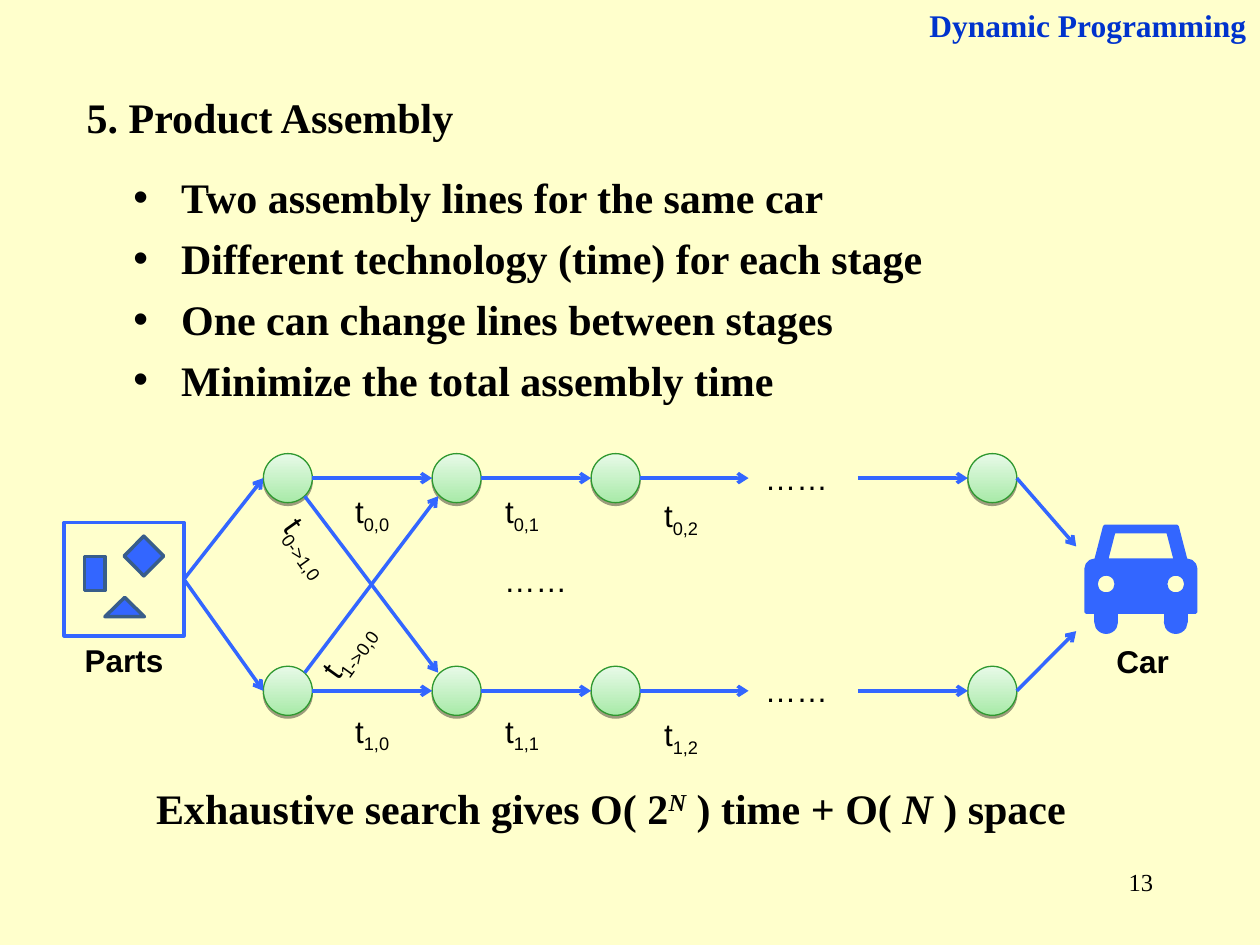
import collections

import lxml.etree
import pptx
import pptx.dml.color
import pptx.enum.shapes
import pptx.enum.text
import pptx.oxml
import pptx.oxml.ns
import pptx.util

COLORS = {"paper": "FFFFCC", "blue": "3366FF", "header": "0033CC", "ink": "000000",
          "edge": "385D8A", "node_edge": "2F982F", "node_low": "A8EAA8", "node_high": "E8FAE8"}
SERIF, SANS = "Times New Roman", "Arial"
Box = collections.namedtuple("Box", "left top width height")
Shape = pptx.enum.shapes.MSO_SHAPE
Align = pptx.enum.text.PP_ALIGN
PAGE = Box(0, 0, 10, 7.5)


def rgb(name):
    """Return the named colour."""
    return pptx.dml.color.RGBColor.from_string(COLORS[name])


def within(box, x, y, width, height):
    """Return the part of a box given by shares of its size."""
    return Box(box.left + x * box.width, box.top + y * box.height,
               width * box.width, height * box.height)


def point(box, x, y):
    """Return the point at the given shares of a box."""
    return box.left + x * box.width, box.top + y * box.height


def inches(values):
    """Convert numbers to lengths."""
    return [pptx.util.Inches(value) for value in values]


def add_xml(parent, tag, **attributes):
    """Append a DrawingML element and return it."""
    return lxml.etree.SubElement(parent, pptx.oxml.ns.qn(tag), attributes)


def add_text(slide, box, paragraphs, size, font=SANS, color="ink", bold=False,
             align=Align.CENTER, wrap=False, rotation=0):
    """Add paragraphs of (text, baseline, italic) runs and return the text frame."""
    label = slide.shapes.add_textbox(*inches(box))
    label.rotation = rotation
    frame = label.text_frame
    frame.word_wrap = wrap
    for index, pieces in enumerate(paragraphs):
        paragraph = frame.add_paragraph() if index else frame.paragraphs[0]
        paragraph.alignment = align
        for text, baseline, italic in pieces:
            run = paragraph.add_run()
            run.text = text
            run.font.size = pptx.util.Pt(size)
            run.font.name = font
            run.font.bold = bold
            run.font.italic = italic
            run.font.color.rgb = rgb(color)
            if baseline:
                run.font._element.set("baseline", str(baseline * 1000))
    return frame


def plain(text):
    """Return one paragraph holding one plain run."""
    return [(text, 0, False)]


def add_figure(slide, kind, box, fill="blue", line="blue", width=2, adjust=()):
    """Add a filled preset shape without a shadow."""
    figure = slide.shapes.add_shape(kind, *inches(box))
    figure.shadow.inherit = False
    figure.fill.solid()
    figure.fill.fore_color.rgb = rgb(fill)
    figure.line.color.rgb = rgb(line)
    figure.line.width = pptx.util.Pt(width)
    for index, value in enumerate(adjust):
        figure.adjustments[index] = value
    return figure


def add_arrow(slide, start, end):
    """Add a straight blue arrow between two points."""
    arrow = slide.shapes.add_connector(pptx.enum.shapes.MSO_CONNECTOR.STRAIGHT,
                                       *inches(start + end))
    arrow.line.color.rgb = rgb("blue")
    arrow.line.width = pptx.util.Pt(2)
    add_xml(arrow.line._get_or_add_ln(), "a:tailEnd", type="arrow")
    add_xml(arrow._element.spPr, "a:effectLst")


def add_node(slide, box):
    """Add one assembly station with its gradient and drop shadow."""
    node = add_figure(slide, Shape.OVAL, box, line="node_edge", width=0.75)
    node.fill.gradient()
    node.fill.gradient_angle = 90
    for stop, name in zip(node.fill.gradient_stops, ("node_low", "node_high")):
        stop.color.rgb = rgb(name)
    effects = node._element.spPr.find(pptx.oxml.ns.qn("a:effectLst"))
    shadow = add_xml(effects, "a:outerShdw", blurRad="0", dist="20320",
                     dir="5400000", rotWithShape="0")
    add_xml(add_xml(shadow, "a:srgbClr", val=COLORS["ink"]), "a:alpha", val="38000")


def add_headings(slide, box):
    """Place the header, title, conclusion and page number."""
    add_text(slide, within(box, 0.65, 0, 0.349, 0.05), [plain("Dynamic Programming")], 18,
             SERIF, "header", True, Align.RIGHT, True)
    add_text(slide, within(box, 0.059, 0.09, 0.34, 0.07), [plain("5. Product Assembly")], 24,
             SERIF, bold=True, align=Align.LEFT, wrap=True)
    conclusion = [("Exhaustive search gives O( 2", 0, False), ("N", 30, True),
                  (" ) time + O( ", 0, False), ("N", 0, True), (" ) space", 0, False)]
    add_text(slide, within(box, 0.114, 0.821, 0.764, 0.067), [conclusion], 24,
             SERIF, bold=True, align=Align.LEFT, wrap=True)
    add_text(slide, within(box, 0.717, 0.911, 0.208, 0.067), [plain("13")], 14,
             SERIF, align=Align.RIGHT, wrap=True)


def add_bullets(slide, box):
    """Place the bulleted facts."""
    facts = ("Two assembly lines for the same car", "Different technology (time) for each stage",
             "One can change lines between stages", "Minimize the total assembly time")
    frame = add_text(slide, box, [plain(fact) for fact in facts], 24, SERIF,
                     bold=True, align=Align.LEFT, wrap=True)
    indent = pptx.util.Inches(0.38)
    for paragraph in frame.paragraphs:
        paragraph.space_before = pptx.util.Pt(6)
        properties = paragraph._p.get_or_add_pPr()
        properties.set("marL", str(indent))
        properties.set("indent", str(-indent))
        add_xml(properties, "a:buFont", typeface=SANS)
        add_xml(properties, "a:buChar", char="•")


def add_parts(slide, box):
    """Draw the crate of parts and its caption."""
    add_figure(slide, Shape.RECTANGLE, box, fill="paper")
    for kind, *share in ((Shape.RECTANGLE, 0.17, 0.3, 0.17, 0.3),
                         (Shape.ISOSCELES_TRIANGLE, 0.34, 0.66, 0.33, 0.17),
                         (Shape.DIAMOND, 0.5, 0.12, 0.33, 0.35)):
        add_figure(slide, kind, within(box, *share), line="edge")
    add_text(slide, within(box, 0, 0.99, 1, 0.44), [plain("Parts")], 18, bold=True)


def add_car(slide, box):
    """Draw the finished car and its caption."""
    sides = (0.09, 0.725)
    for side in sides:
        add_figure(slide, Shape.RECTANGLE, within(box, side, 0.62, 0.185, 0.28))
        add_figure(slide, Shape.OVAL, within(box, side, 0.81, 0.185, 0.19))
    add_figure(slide, Shape.TRAPEZOID, within(box, 0.09, 0, 0.82, 0.32), adjust=(0.26,))
    add_figure(slide, Shape.ROUND_2_SAME_RECTANGLE, within(box, 0, 0.32, 1, 0.49),
               adjust=(0.17, 0))
    add_figure(slide, Shape.TRAPEZOID, within(box, 0.185, 0.05, 0.63, 0.27),
               fill="paper", adjust=(0.26,))
    for side in sides:
        add_figure(slide, Shape.OVAL, within(box, side, 0.45, 0.185, 0.19), fill="paper")
    add_text(slide, within(box, 0, 1.03, 1.03, 0.48), [plain("Car")], 18, bold=True)


def add_network(slide, box, source, targets):
    """Draw both assembly lines, the changes between them and their times."""
    across, down = 0.065, 0.1875
    stages = (0, 0.224, 0.435, 0.935)
    gap_left, gap_right = 0.644, 0.789
    for line, (top, target) in enumerate(zip((0, 1 - down), targets)):
        middle = top + down / 2
        for stage in stages:
            add_node(slide, within(box, stage, top, across, down))
        starts = [stage + across for stage in stages[:3]] + [gap_right]
        ends = [*stages[1:3], gap_left, stages[3]]
        for start, end in zip(starts, ends):
            add_arrow(slide, point(box, start, middle), point(box, end, middle))
        add_arrow(slide, source, point(box, 0, middle))
        add_arrow(slide, point(box, 1, middle), target)
        add_text(slide, within(box, 0.649, top - 0.005, 0.117, 0.19), [plain("……")], 18)
        for stage, (x, y) in enumerate(((0.105, 0.125), (0.304, 0.125), (0.515, 0.14))):
            add_text(slide, within(box, x, y + line * 0.837, 0.079, 0.21),
                     [[("t", 0, False), (f"{line},{stage}", -25, False)]], 18)
    high, low = 0.163, 0.837
    changes = ((high, low, "0->1,0", 0.002, 0.255, 54.5),
               (low, high, "1->0,0", 0.055, 0.649, 305.7))
    for start, end, change, x, y, angle in changes:
        add_arrow(slide, point(box, 0.055, start), point(box, 0.232, end))
        add_text(slide, within(box, x, y, 0.114, 0.21),
                 [[("t", 0, False), (change, -25, False)]], 18, rotation=angle)
    add_text(slide, within(box, 0.303, 0.385, 0.117, 0.19), [plain("……")], 18)


def main():
    """Build and save the slide."""
    deck = pptx.Presentation()
    deck.slide_width, deck.slide_height = inches(PAGE[2:])
    slide = deck.slides.add_slide(deck.slide_layouts[6])
    slide.background.fill.solid()
    slide.background.fill.fore_color.rgb = rgb("paper")
    crate = within(PAGE, 0.051, 0.553, 0.095, 0.12)
    car = within(PAGE, 0.862, 0.557, 0.087, 0.112)
    add_headings(slide, PAGE)
    add_bullets(slide, within(PAGE, 0.096, 0.175, 0.687, 0.288))
    add_parts(slide, crate)
    add_car(slide, car)
    add_network(slide, within(PAGE, 0.209, 0.48, 0.598, 0.277), point(crate, 1, 0.5),
                (point(car, -0.09, 0.19), point(car, -0.09, 0.99)))
    deck.save("out.pptx")


if __name__ == "__main__":
    main()
